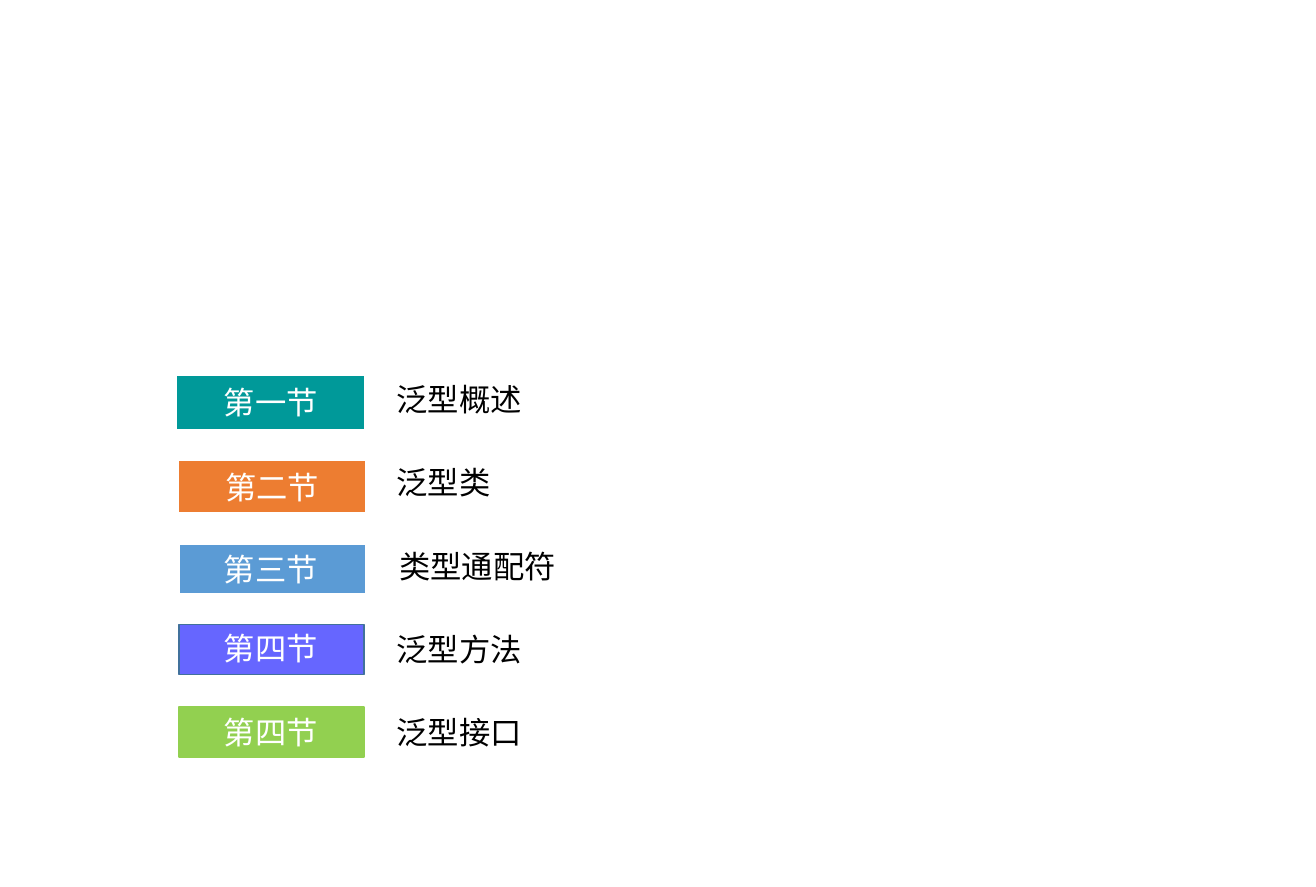
from pptx import Presentation
from pptx import util as u
from pptx.dml.color import RGBColor
from pptx.enum import shapes, text
from pptx.oxml.ns import qn
from lxml import etree

COLOURS = {
    "white": "FFFFFF",
    "black": "000000",
    "teal": "009999",
    "orange": "ED7D31",
    "blue": "5B9BD5",
    "violet": "6666FF",
    "green": "92D050",
    "steel": "41719C",
}
CJK = "Noto Sans CJK SC"
LATIN = "Calibri"


class SectionSlide:
    def __init__(self, deck):
        self.page = deck.slides.add_slide(deck.slide_layouts[6])
        self.size = u.Pt(18)
        self.height = 0.4

    def colour(self, name):
        return RGBColor.from_string(COLOURS[name])

    def bar(self, left, top, width, height, fill, line, weight):
        bar = self.page.shapes.add_shape(
            shapes.MSO_SHAPE.RECTANGLE,
            u.Inches(left), u.Inches(top), u.Inches(width), u.Inches(height))
        bar.shadow.inherit = False
        bar.fill.solid()
        bar.fill.fore_color.rgb = self.colour(fill)
        bar.line.color.rgb = self.colour(line)
        bar.line.width = u.Pt(weight)

    def label(self, left, top, words, colour, font=CJK, fill=None):
        width = 0.2 + 0.25 * len(words)
        box = self.page.shapes.add_textbox(
            u.Inches(left), u.Inches(top), u.Inches(width), u.Inches(self.height))
        if fill:
            box.fill.solid()
            box.fill.fore_color.rgb = self.colour(fill)
        frame = box.text_frame
        frame.text = words
        frame.word_wrap = False
        frame.auto_size = text.MSO_AUTO_SIZE.SHAPE_TO_FIT_TEXT
        span = frame.paragraphs[0].runs[0]
        span.font.size = self.size
        span.font.name = font
        span.font.color.rgb = self.colour(colour)
        east_asian = etree.Element(qn("a:ea"), typeface=CJK)
        span.font._element.find(qn("a:latin")).addnext(east_asian)


def main():
    deck = Presentation()
    deck.slide_width = u.Cm(26.7)
    deck.slide_height = u.Cm(18)
    slide = SectionSlide(deck)

    sections = [
        ((1.4, 2.99, 1.52, 0.45), "teal", "white", 1.5, "第一节", 1.69, 3.01, None, "泛型概述", 3.07, CJK),
        ((1.42, 3.67, 1.51, 0.43), "orange", "white", 1.5, "第二节", 1.7, 3.69, None, "泛型类", 3.07, LATIN),
        ((1.43, 4.34, 1.5, 0.41), "blue", "white", 1.5, "第三节", 1.69, 4.35, None, "类型通配符", 3.09, LATIN),
        ((1.43, 4.99, 1.48, 0.4), "violet", "steel", 1, "第四节", 1.69, 4.98, None, "泛型方法", 3.07, CJK),
        ((1.43, 5.65, 1.48, 0.4), "green", "green", 1, "第四节", 1.69, 5.65, "green", "泛型接口", 3.07, CJK),
    ]
    first_title, last_title = 2.99, 5.65
    pitch = (last_title - first_title) / (len(sections) - 1)
    for row, section in enumerate(sections):
        place, fill, line, weight, number, left, top, backing, title, title_left, font = section
        slide.bar(*place, fill, line, weight)
        slide.label(left, top, number, "white", fill=backing)
        slide.label(title_left, first_title + row * pitch, title, "black", font)

    deck.save("out.pptx")


if __name__ == "__main__":
    main()
